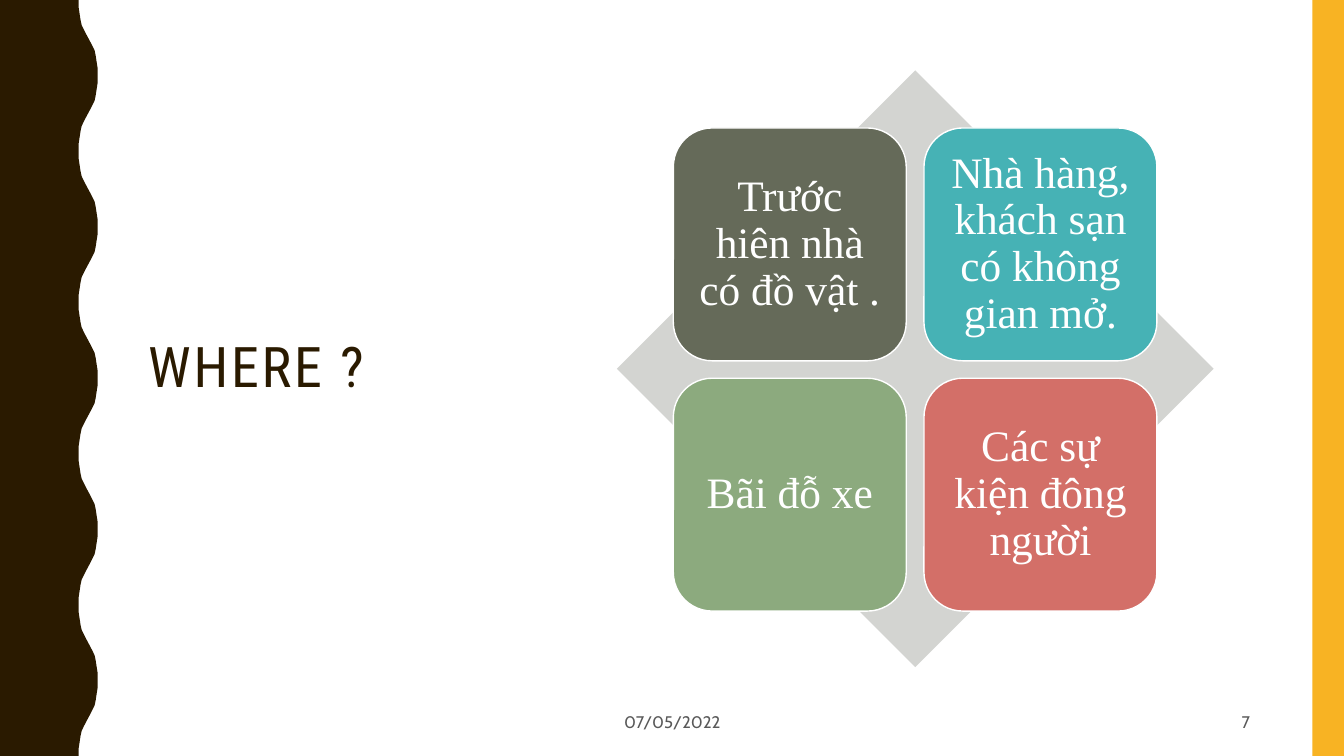
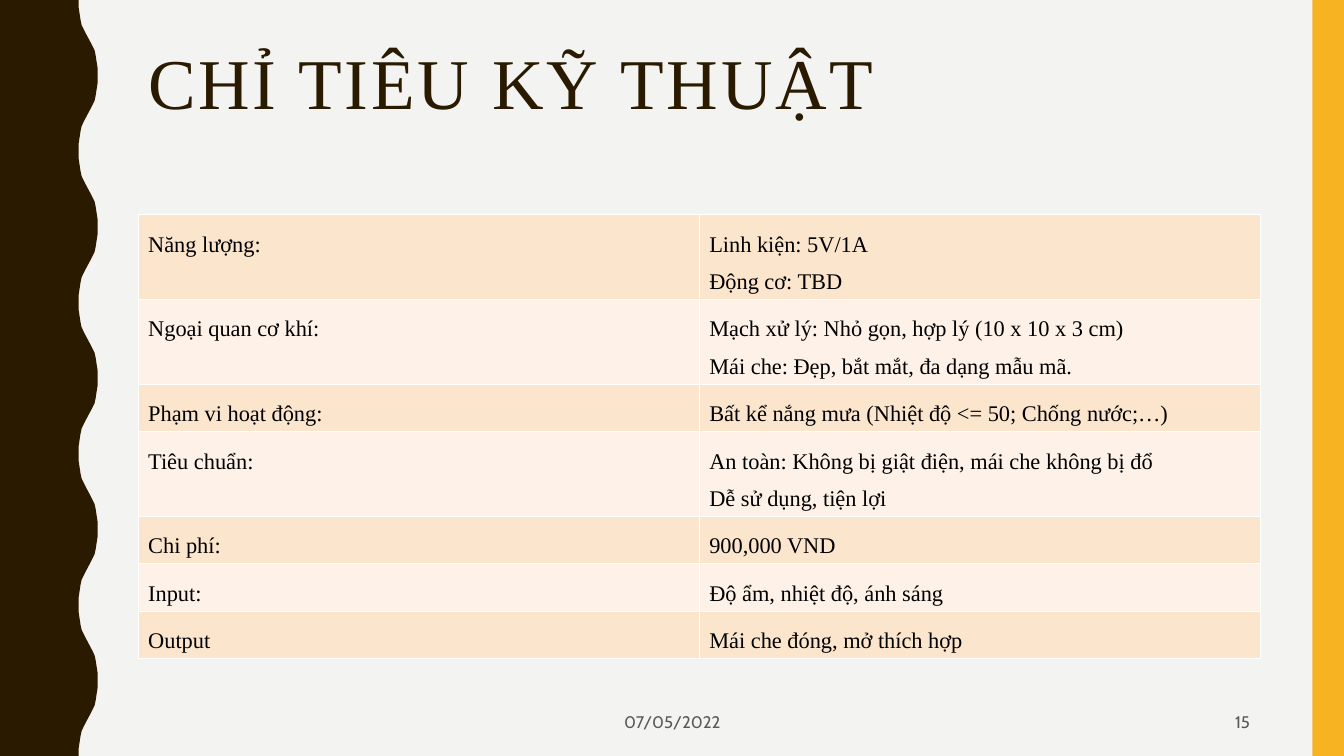
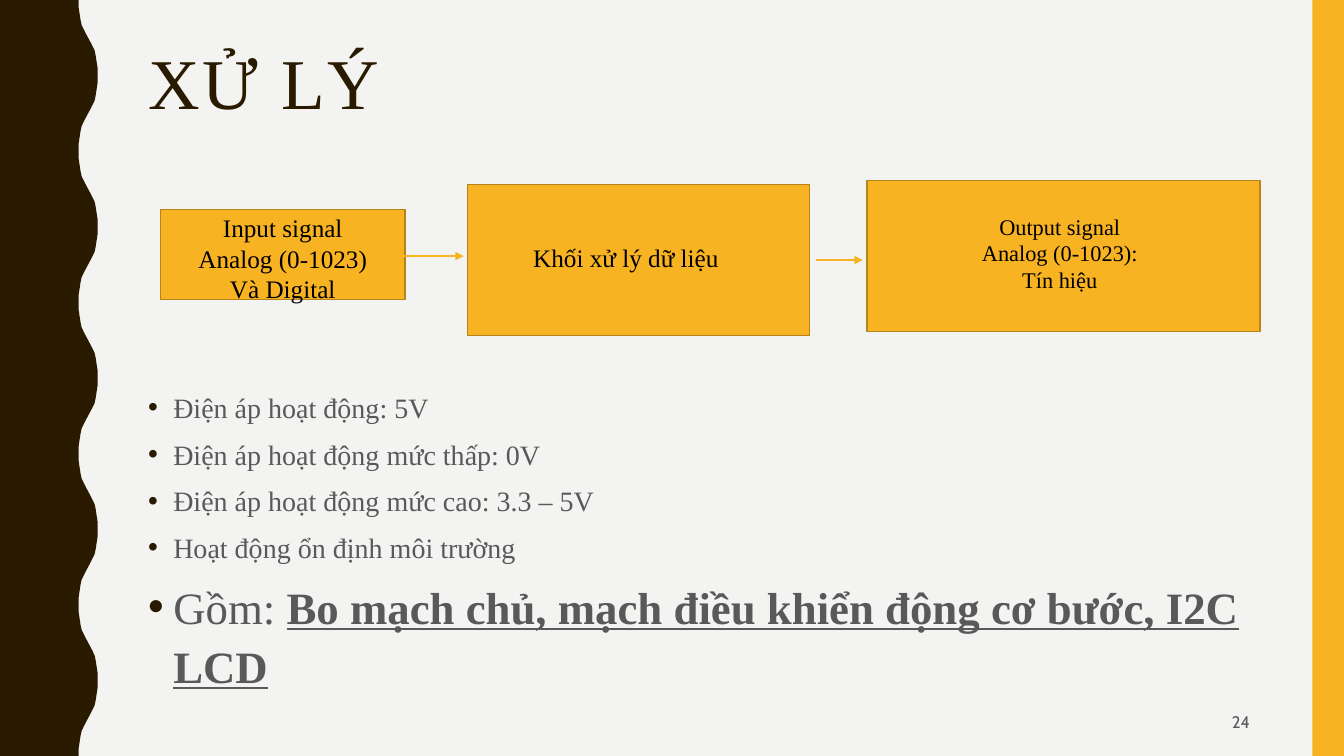
from dataclasses import dataclass
from typing import Any, Optional

from lxml import etree
from pptx import Presentation
from pptx import util as u
from pptx.dml.color import RGBColor
from pptx.enum import shapes, text
from pptx.oxml import ns

WIDTH = u.Emu(12192000)
HEIGHT = u.Inches(7.5)
SERIF = "Times New Roman"
CONDENSED = "Roboto Condensed"
SANS = "Cabin"
COLORS = {
    "white": "FFFFFF", "paper": "F3F3F2", "black": "000000",
    "brown": "2A1A00", "amber": "F8B323", "amber_edge": "B7841A",
    "gray": "595959", "diamond": "D3D4D1",
    "olive": "656A59", "teal": "46B2B5", "green": "8CAA7E", "coral": "D36F68",
    "row_dark": "FCE5CD", "row_light": "FEF2E8",
}
ALIGN = text.PP_ALIGN
ANCHOR = text.MSO_ANCHOR


@dataclass(frozen=True)
class Area:
    """Percentages of the slide's width and height."""
    left: float
    top: float
    width: float
    height: float

    def lengths(self) -> tuple[int, int, int, int]:
        return (across(self.left), down(self.top), across(self.width), down(self.height))


@dataclass(frozen=True)
class Style:
    size: float
    color: str
    font: str = SERIF
    align: Any = ALIGN.LEFT
    line_spacing: float = 1.0
    tracking: int = 0


@dataclass(frozen=True)
class Run:
    text: str
    size: Optional[float] = None
    emphasis: bool = False


@dataclass(frozen=True)
class Tile:
    column: int
    row: int
    color: str
    label: str


@dataclass(frozen=True)
class Block:
    area: Area
    lines: tuple[str, ...]
    style: Style
    insets: tuple[float, float, float, float]


@dataclass(frozen=True)
class Arrow:
    start: float
    end: float
    level: float


TITLE_TOP = Area(10.28, 5.6, 83.5, 21.73)
TITLE_SIDE = Area(10.28, 9.33, 27.75, 78.93)
NUMBER_AREA = Area(70.65, 92.93, 23.1, 5.07)
DATE_AREA = Area(33.15, 92.93, 33.75, 5.07)
SIDE_BAND = Area(97.65, 0, 2.35, 100)
DIAMOND = Area(45.9, 9.33, 44.4, 78.93)
FIRST_TILE = Area(50.1, 16.93, 17.33, 30.8)
TILE_PITCH = (18.65, 33.1)
TABLE_AREA = Area(10.28, 28.4, 83.5, 58.67)
LIST_AREA = Area(10.28, 50.53, 83.5, 49.47)
DEFAULT_INSETS = (0.1, 0.05, 0.1, 0.05)

TITLE_LARGE = Style(51, "brown", line_spacing=0.9, tracking=200)
TITLE_SMALL = Style(40, "brown", CONDENSED, line_spacing=0.9, tracking=200)
TILE_STYLE = Style(31, "white", align=ALIGN.CENTER, line_spacing=0.9)
CELL_STYLE = Style(16, "black", line_spacing=1.5)
LIST_STYLE = Style(20, "gray", line_spacing=1.1)

WAVE_QUARTER = [(5.85, 0), (5.85, 0.93), (5.93, 1.87), (6, 2.67),
                (6.08, 3.33), (6.23, 3.87), (6.38, 4.4)]
WAVE_MIDDLE = 6.56
WAVE_PERIOD = 20

TILES = [
    Tile(0, 0, "olive", "Trước hiên nhà có đồ vật ."),
    Tile(1, 0, "teal", "Nhà hàng, khách sạn có không gian mở."),
    Tile(0, 1, "green", "Bãi đỗ xe"),
    Tile(1, 1, "coral", "Các sự kiện đông người"),
]
REQUIREMENTS = [
    ("Năng lượng:", ["Linh kiện: 5V/1A", "Động cơ: TBD"]),
    ("Ngoại quan cơ khí:", ["Mạch xử lý: Nhỏ gọn, hợp lý (10 x 10 x 3 cm)",
                            "Mái che: Đẹp, bắt mắt, đa dạng mẫu mã."]),
    ("Phạm vi hoạt động:", ["Bất kể nắng mưa (Nhiệt độ <= 50; Chống nước;…)"]),
    ("Tiêu chuẩn:", ["An toàn: Không bị giật điện, mái che không bị đổ",
                     "Dễ sử dụng, tiện lợi"]),
    ("Chi phí:", ["900,000 VND"]),
    ("Input:", ["Độ ẩm, nhiệt độ, ánh sáng"]),
    ("Output", ["Mái che đóng, mở thích hợp"]),
]
BLOCKS = [
    Block(Area(11.93, 27.73, 18.22, 11.87),
          ("Input signal", "Analog (0-1023)", "Và Digital"),
          Style(18, "black", align=ALIGN.CENTER), (0.1, 0.03, 0.1, 0)),
    Block(Area(34.8, 24.4, 25.43, 20), ("Khối xử lý dữ liệu",),
          Style(18, "black"), (0.65, 0.57, 0.1, 0.05)),
    Block(Area(64.5, 23.87, 29.25, 20),
          ("Output signal", "Analog (0-1023):", "Tín hiệu"),
          Style(16, "black", align=ALIGN.CENTER), (0.1, 0.32, 0.17, 0.05)),
]
ARROWS = [Arrow(29.55, 34.5, 33.87), Arrow(60.68, 64.2, 34.4)]
BULLETS = [
    [Run("Điện áp hoạt động: 5V")],
    [Run("Điện áp hoạt động mức thấp: 0V")],
    [Run("Điện áp hoạt động mức cao: 3.3 – 5V")],
    [Run("Hoạt động ổn định môi trường")],
    [Run("Gồm: ", 32),
     Run("Bo mạch chủ, mạch điều khiển động cơ bước, I2C LCD", 32, True)],
]


def across(percent: float) -> int:
    return round(WIDTH * percent / 100)


def down(percent: float) -> int:
    return round(HEIGHT * percent / 100)


def rgb(name: str) -> RGBColor:
    return RGBColor.from_string(COLORS[name])


def child(parent: Any, tag: str, **attributes: str) -> Any:
    element = etree.SubElement(parent, ns.qn(tag))
    for name, value in attributes.items():
        element.set(name, value)
    return element


def write(paragraph: Any, runs: list[Run], style: Style) -> None:
    paragraph.alignment = style.align
    paragraph.line_spacing = style.line_spacing
    for item in runs:
        run = paragraph.add_run()
        run.text = item.text
        font = run.font
        font.name = style.font
        font.size = u.Pt(item.size or style.size)
        font.color.rgb = rgb(style.color)
        if item.emphasis:
            font.bold = font.underline = True
        if style.tracking:
            run.font._element.set("spc", str(style.tracking))


def fill_frame(frame: Any, lines: list[list[Run]], style: Style, anchor: Any = ANCHOR.TOP,
               insets: tuple[float, float, float, float] = DEFAULT_INSETS) -> None:
    frame.word_wrap = True
    frame.auto_size = text.MSO_AUTO_SIZE.NONE
    frame.vertical_anchor = anchor
    (frame.margin_left, frame.margin_top,
     frame.margin_right, frame.margin_bottom) = map(u.Inches, insets)
    for index, runs in enumerate(lines):
        paragraph = frame.add_paragraph() if index else frame.paragraphs[0]
        write(paragraph, runs, style)


def paint(shape: Any, color: str, line: Optional[str] = None) -> None:
    shape.shadow.inherit = False
    shape.fill.solid()
    shape.fill.fore_color.rgb = rgb(color)
    if line:
        shape.line.color.rgb = rgb(line)
        shape.line.width = u.Pt(1)
    else:
        shape.line.fill.background()


def add_shape(slide: Any, kind: Any, area: Area, color: str, line: Optional[str] = None) -> Any:
    shape = slide.shapes.add_shape(kind, *area.lengths())
    paint(shape, color, line)
    return shape


def add_text(slide: Any, area: Area, label: str, style: Style) -> None:
    box = slide.shapes.add_textbox(*area.lengths())
    fill_frame(box.text_frame, [[Run(label)]], style, ANCHOR.MIDDLE)


def wave_points() -> list[tuple[int, int]]:
    half = WAVE_PERIOD / 2
    rise = WAVE_QUARTER + [(2 * WAVE_MIDDLE - x, half - y) for x, y in reversed(WAVE_QUARTER)]
    wave = rise + [(x, WAVE_PERIOD - y) for x, y in reversed(rise)]
    edge = [(x, y + start) for start in range(0, 100, WAVE_PERIOD) for x, y in wave]
    return [(across(x), down(y)) for x, y in edge + [(0, 100)]]


def decorate_master(presentation: Any, slide: Any) -> None:
    builder = slide.shapes.build_freeform(0, 0, scale=1.0)
    builder.add_line_segments(wave_points(), close=True)
    wave = builder.convert_to_shape()
    paint(wave, "brown")
    band = add_shape(slide, shapes.MSO_SHAPE.RECTANGLE, SIDE_BAND, "amber")
    tree = presentation.slide_master.shapes.element
    for position, shape in enumerate((wave, band), start=2):
        tree.insert(position, shape.element)


def add_slide(presentation: Any, title: str, area: Area, style: Style, anchor: Any,
              background: str, number: str, date: str = "") -> Any:
    slide = presentation.slides.add_slide(presentation.slide_layouts[5])
    slide.background.fill.solid()
    slide.background.fill.fore_color.rgb = rgb(background)
    heading = slide.shapes.title
    heading.left, heading.top, heading.width, heading.height = area.lengths()
    fill_frame(heading.text_frame, [[Run(title)]], style, anchor)
    add_text(slide, NUMBER_AREA, number, Style(12, "gray", SANS, ALIGN.RIGHT))
    if date:
        add_text(slide, DATE_AREA, date, Style(12, "gray", SANS, ALIGN.CENTER))
    return slide


def add_tiles(slide: Any) -> None:
    add_shape(slide, shapes.MSO_SHAPE.DIAMOND, DIAMOND, "diamond")
    for tile in TILES:
        area = Area(FIRST_TILE.left + tile.column * TILE_PITCH[0],
                    FIRST_TILE.top + tile.row * TILE_PITCH[1],
                    FIRST_TILE.width, FIRST_TILE.height)
        shape = add_shape(slide, shapes.MSO_SHAPE.ROUNDED_RECTANGLE, area, tile.color, "white")
        fill_frame(shape.text_frame, [[Run(tile.label)]], TILE_STYLE, ANCHOR.MIDDLE, (0.13,) * 4)


def format_cell(cell: Any, lines: list[str], color: str) -> None:
    properties = cell._tc.get_or_add_tcPr()
    for side in ("L", "R", "T", "B"):
        border = child(properties, f"a:ln{side}", w="12700")
        child(child(border, "a:solidFill"), "a:srgbClr", val=COLORS["white"])
    cell.fill.solid()
    cell.fill.fore_color.rgb = rgb(color)
    for index, line in enumerate(lines):
        paragraph = cell.text_frame.add_paragraph() if index else cell.text_frame.paragraphs[0]
        write(paragraph, [Run(line)], CELL_STYLE)


def add_requirements(slide: Any) -> None:
    table = slide.shapes.add_table(len(REQUIREMENTS), 2, *TABLE_AREA.lengths()).table
    table.first_row = table.horz_banding = False
    for index, (name, values) in enumerate(REQUIREMENTS):
        table.rows[index].height = u.Inches(0.1 + 0.37 * len(values))
        color = "row_light" if index % 2 else "row_dark"
        format_cell(table.cell(index, 0), [name], color)
        format_cell(table.cell(index, 1), values, color)


def add_arrow(slide: Any, arrow: Arrow) -> None:
    level = down(arrow.level)
    connector = slide.shapes.add_connector(
        shapes.MSO_CONNECTOR.STRAIGHT, across(arrow.start), level, across(arrow.end), level)
    connector.line.color.rgb = rgb("amber")
    connector.line.width = u.Pt(1)
    child(connector.line._get_or_add_ln(), "a:tailEnd", type="triangle")
    child(connector.element.spPr, "a:effectLst")


def add_bullets(slide: Any) -> None:
    frame = slide.shapes.add_textbox(*LIST_AREA.lengths()).text_frame
    fill_frame(frame, BULLETS, LIST_STYLE)
    for index, paragraph in enumerate(frame.paragraphs):
        if index:
            paragraph.space_before = u.Pt(7)
        properties = paragraph._p.get_or_add_pPr()
        properties.set("marL", str(u.Inches(0.25)))
        properties.set("indent", str(-u.Inches(0.25)))
        child(child(properties, "a:buClr"), "a:srgbClr", val=COLORS["brown"])
        child(properties, "a:buFont", typeface="Arial")
        child(properties, "a:buChar", char="•")


def add_process(slide: Any) -> None:
    for block in BLOCKS:
        shape = add_shape(slide, shapes.MSO_SHAPE.RECTANGLE, block.area, "amber", "amber_edge")
        fill_frame(shape.text_frame, [[Run(line)] for line in block.lines],
                   block.style, insets=block.insets)
    for arrow in ARROWS:
        add_arrow(slide, arrow)


def main() -> None:
    presentation = Presentation()
    presentation.slide_width, presentation.slide_height = WIDTH, HEIGHT
    date = "07/05/2022"
    where = add_slide(presentation, "WHERE ?", TITLE_SIDE, TITLE_SMALL, ANCHOR.MIDDLE,
                      "white", "7", date)
    decorate_master(presentation, where)
    add_tiles(where)
    specification = add_slide(presentation, "CHỈ TIÊU KỸ THUẬT", TITLE_TOP, TITLE_LARGE,
                              ANCHOR.TOP, "paper", "15", date)
    add_requirements(specification)
    processing = add_slide(presentation, "XỬ LÝ", TITLE_TOP, TITLE_LARGE, ANCHOR.TOP,
                           "paper", "24")
    add_bullets(processing)
    add_process(processing)
    presentation.save("out.pptx")


if __name__ == "__main__":
    main()
